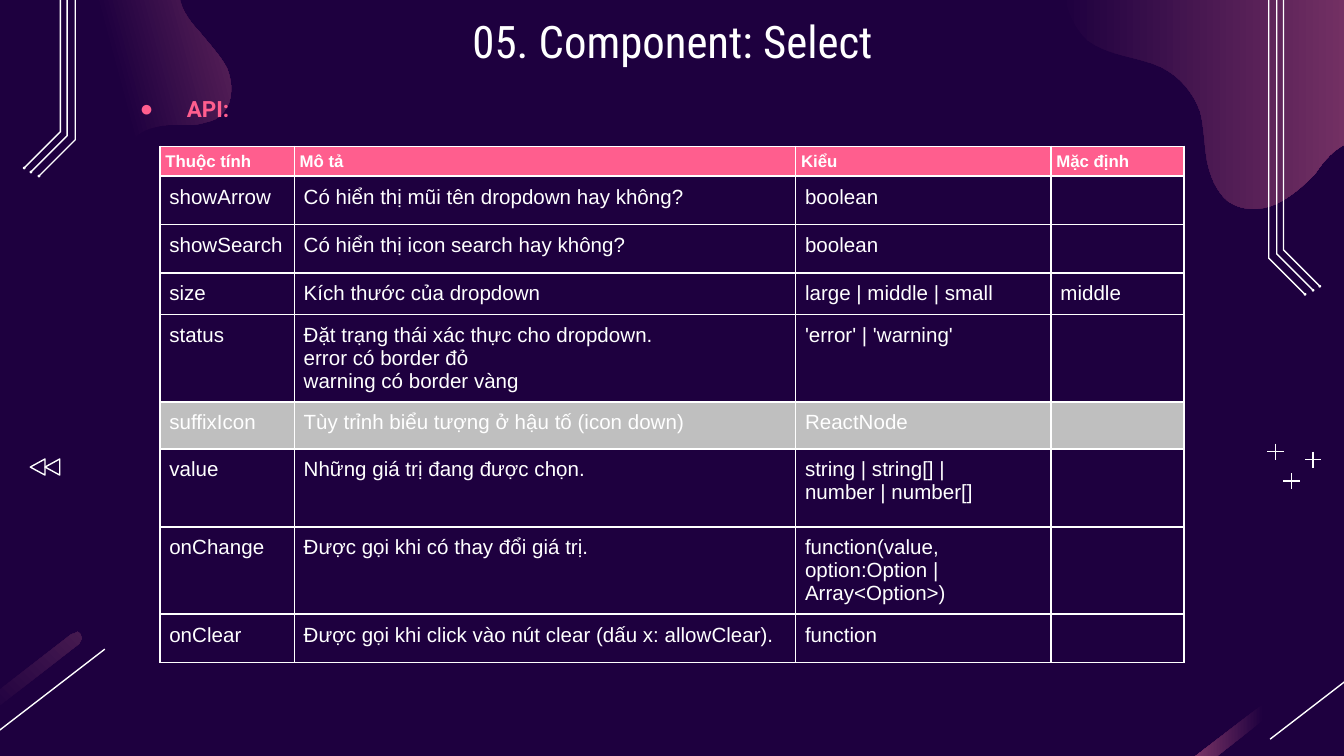
from lxml import etree
from pptx import Presentation
from pptx.dml.color import RGBColor
from pptx.enum.shapes import MSO_CONNECTOR, MSO_SHAPE
from pptx.enum.text import MSO_ANCHOR, MSO_AUTO_SIZE, PP_ALIGN
from pptx.oxml.ns import qn
from pptx.util import Inches, Pt

NIGHT = RGBColor(0x1E, 0x00, 0x3F)
DUSK = RGBColor(0x46, 0x1A, 0x50)
PLUM = RGBColor(0xA6, 0x4D, 0x79)
PINK = RGBColor(0xFF, 0x5E, 0x8E)
GREY = RGBColor(0xBF, 0xBF, 0xBF)
WHITE = RGBColor(0xFF, 0xFF, 0xFF)
THIN = Pt(0.75)
DOT = 0.02

# Each curve list is a start point followed by Bezier triples.
LEFT_BLOB = [
    (0.48, 1.9), (0.74, 1.83), (0.86, 1.69), (0.9, 1.65), (0.98, 1.56), (1.01, 1.43), (0.99, 1.31),
    (0.98, 1.24), (0.95, 1.17), (0.97, 1.11), (0.98, 1.02), (1.06, 0.97), (1.14, 0.95),
    (1.24, 0.92), (1.33, 0.93), (1.42, 0.93), (1.46, 0.93), (1.5, 0.92), (1.53, 0.91),
    (1.58, 0.9), (1.63, 0.88), (1.66, 0.84), (1.74, 0.75), (1.73, 0.61), (1.69, 0.51),
    (1.64, 0.41), (1.55, 0.32), (1.48, 0.23), (1.4, 0.15), (1.33, 0.04), (1.33, -0.07)]
LEFT_BLOB_REST = [
    (1.43, -0.31), (1.9, -0.41), (2.28, -0.43), (2.58, -0.87), (2.33, -1.34), (1.67, -1.51),
    (0.7, -0.95), (-0.91, -0.74), (-1.74, -0.3), (-1.94, 0.22), (-1.56, 0.8), (-0.46, 1.06),
    (-0.13, 1.33), (-0.03, 1.66), (0.2, 1.87)]
RIGHT_BLOB = [
    (7.89, -0.38), (7.89, -0.31), (7.89, -0.24), (7.9, -0.18), (7.91, 0), (7.96, 0.18), (8.09, 0.3),
    (8.25, 0.42), (8.47, 0.42), (8.64, 0.5), (8.78, 0.57), (8.88, 0.69), (8.93, 0.83),
    (8.96, 0.94), (8.96, 1.07), (8.98, 1.19), (9, 1.3), (9.05, 1.43), (9.14, 1.5),
    (9.24, 1.57), (9.38, 1.57), (9.49, 1.52), (9.6, 1.47), (9.69, 1.39), (9.78, 1.3),
    (9.83, 1.23), (9.88, 1.16), (9.95, 1.11), (10.02, 1.06), (10.1, 1.03), (10.18, 1.06),
    (10.33, 1.1), (10.38, 1.3), (10.52, 1.38), (10.85, 1.57), (11.08, 1.12), (11.17, 0.88)]
RIGHT_BLOB_REST = [
    (11.25, 0.38), (11.05, -0.35), (10.58, -0.77), (9.89, -0.84), (9.29, -1.13), (8.97, -1.41),
    (8.52, -1.43), (8.19, -1.29), (7.93, -0.78)]
STREAK = [(0.56, 0.01), (0.58, 0), (0.6, 0.02), (0.61, 0.05), (0.59, 0.09), (-0.81, 1.18),
          (-0.85, 1.19), (-0.88, 1.17), (-0.89, 1.14), (-0.87, 1.1), (0.53, 0.02)]

HEADERS = ["Thuộc tính", "Mô tả", "Kiểu", "Mặc định"]
COLUMN_WIDTHS = [1, 3.73, 1.9, 0.99]
HEADER_HEIGHT = 0.22
ROWS = [  # height, cells
    (0.36, ["showArrow", "Có hiển thị mũi tên dropdown hay không?", "boolean", ""]),
    (0.36, ["showSearch", "Có hiển thị icon search hay không?", "boolean", ""]),
    (0.31, ["size", "Kích thước của dropdown", "large | middle | small", "middle"]),
    (0.65, ["status", "Đặt trạng thái xác thực cho dropdown.\nerror có border đỏ\n"
            "warning có border vàng", "'error' | 'warning'", ""]),
    (0.35, ["suffixIcon", "Tùy trỉnh biểu tượng ở hậu tố (icon down)", "ReactNode", ""]),
    (0.58, ["value", "Những giá trị đang được chọn.", "string | string[] |\nnumber | number[]", ""]),
    (0.65, ["onChange", "Được gọi khi có thay đổi giá trị.",
            "function(value, option:Option | Array<Option>)", ""]),
    (0.36, ["onClear", "Được gọi khi click vào nút clear (dấu x: allowClear).", "function", ""]),
]
HIGHLIGHTED = "suffixIcon"


def flatten(curve, steps=8):
    """Turn a chain of cubic Bezier curves into points."""
    points = [curve[0]]
    for i in range(0, len(curve) - 1, 3):
        a, b, c, d = curve[i:i + 4]
        for t in (step / steps for step in range(1, steps + 1)):
            u = 1 - t
            points.append(tuple(u**3 * a[k] + 3 * u * u * t * b[k] + 3 * u * t * t * c[k] + t**3 * d[k]
                                for k in (0, 1)))
    return points


def add_outline(slide, points, close):
    points = [(Inches(x), Inches(y)) for x, y in points]
    builder = slide.shapes.build_freeform(*points[0])
    builder.add_line_segments(points[1:], close=close)
    shape = builder.convert_to_shape()
    shape.shadow.inherit = False
    return shape


def add_gradient_outline(slide, points, stops, angle):
    """Angle runs counter-clockwise from left-to-right."""
    shape = add_outline(slide, points, close=True)
    shape.line.fill.background()
    shape.fill.gradient()
    shape.fill.gradient_angle = angle
    stop_list = shape.fill._fill._gradFill.find(qn("a:gsLst"))
    for old_stop in list(stop_list):
        stop_list.remove(old_stop)
    for position, color in stops:
        stop = etree.SubElement(stop_list, qn("a:gs"), pos=str(position * 1000))
        etree.SubElement(stop, qn("a:srgbClr"), val=str(color))


def add_line(slide, x1, y1, x2, y2):
    line = slide.shapes.add_connector(MSO_CONNECTOR.STRAIGHT, *map(Inches, (x1, y1, x2, y2)))
    line.line.color.rgb = WHITE
    line.line.width = THIN
    etree.SubElement(line._element.spPr, qn("a:effectLst"))


def add_circuit(slide, place):
    """Three bent wires, each ending in a dot; place maps their points to the slide."""
    for x, bend in ((9.44, 1.92), (9.5, 1.89), (9.55, 1.86)):
        end_x, end_y = place(x + 0.27, bend + 0.27)
        wire = add_outline(slide, [(place(x, 0)[0], 0), place(x, bend), (end_x, end_y)], close=False)
        wire.fill.background()
        wire.line.color.rgb = WHITE
        wire.line.width = THIN
        dot = slide.shapes.add_shape(MSO_SHAPE.OVAL, Inches(end_x - DOT / 2), Inches(end_y - DOT / 2),
                                     Inches(DOT), Inches(DOT))
        dot.shadow.inherit = False
        dot.fill.solid()
        dot.fill.fore_color.rgb = WHITE
        dot.line.fill.background()


def add_rewind_icon(slide, left, top):
    for offset in (0, 0.11):
        triangle = slide.shapes.add_shape(MSO_SHAPE.ISOSCELES_TRIANGLE, Inches(left + offset),
                                          Inches(top), Inches(0.12), Inches(0.11))
        triangle.rotation = 270
        triangle.shadow.inherit = False
        triangle.fill.background()
        triangle.line.color.rgb = WHITE
        triangle.line.width = THIN


def add_decorations(slide):
    add_gradient_outline(slide, flatten(LEFT_BLOB) + LEFT_BLOB_REST,
                         [(0, NIGHT), (58, NIGHT), (100, PLUM)], 15)
    add_gradient_outline(slide, flatten(RIGHT_BLOB) + RIGHT_BLOB_REST, [(0, NIGHT), (100, PLUM)], 0)
    for left, angle, glow in ((0, 45, DUSK), (9.54, 180, PLUM)):
        add_gradient_outline(slide, [(left + x, 4.7 + y) for x, y in STREAK],
                             [(0, NIGHT), (50, NIGHT), (100, glow)], angle)
        add_line(slide, left + 0.78, 4.83, left - 0.09, 5.5)
    add_circuit(slide, lambda x, y: (x, y))
    add_circuit(slide, lambda x, y: (10 - x, y - 0.88))
    for x, y in ((9.61, 3.58), (9.77, 3.42), (9.49, 3.36)):
        add_line(slide, x - 0.06, y, x + 0.06, y)
        add_line(slide, x, y - 0.06, x, y + 0.06)
    add_rewind_icon(slide, 0.22, 3.42)


def fill_placeholder(placeholder, text, box, font_name, size, color, bold):
    """Place and format the placeholder, in front of the decorations."""
    placeholder.left, placeholder.top, placeholder.width, placeholder.height = map(Inches, box)
    placeholder.element.getparent().append(placeholder.element)
    frame = placeholder.text_frame
    frame.text = text
    frame.word_wrap = True
    frame.auto_size = MSO_AUTO_SIZE.NONE
    frame.vertical_anchor = MSO_ANCHOR.TOP
    frame.margin_left = frame.margin_right = frame.margin_top = frame.margin_bottom = Inches(0.1)
    paragraph = frame.paragraphs[0]
    paragraph.space_before = Pt(0)
    format_runs(paragraph, font_name, size, color, bold)
    return paragraph


def format_runs(paragraph, font_name, size, color, bold):
    for run in paragraph.runs:
        run.font.name, run.font.size, run.font.bold = font_name, Pt(size), bold
        run.font.color.rgb = color


def add_heading(slide):
    label = fill_placeholder(slide.placeholders[1], "API:", (0.79, 0.51, 8.12, 0.44), "Roboto", 12, PINK, True)
    properties = label._p.get_or_add_pPr()
    properties.set("marL", str(Inches(0.5)))
    properties.set("indent", str(Inches(-0.35)))
    bullet_color = etree.SubElement(properties, qn("a:buClr"))
    etree.SubElement(bullet_color, qn("a:srgbClr"), val=str(PINK))
    etree.SubElement(properties, qn("a:buChar"), char="●")
    label.line_spacing = 1.5

    title = fill_placeholder(slide.shapes.title, "05. Component: Select", (0.79, 0, 8.43, 0.63),
                             "Roboto Condensed", 24, WHITE, False)
    title.alignment = PP_ALIGN.CENTER


def format_cell(cell, text, size, margin, bold, fill_color):
    cell.margin_left = cell.margin_right = cell.margin_top = cell.margin_bottom = Inches(margin)
    cell.text_frame.text = text
    for paragraph in cell.text_frame.paragraphs:
        format_runs(paragraph, "Arial", size, WHITE, bold)
        if not text:
            etree.SubElement(paragraph._p, qn("a:endParaRPr"), sz=str(size * 100))
    for side in ("lnL", "lnR", "lnT", "lnB"):
        border = etree.SubElement(cell._tc.get_or_add_tcPr(), qn("a:" + side), w=str(Pt(1)))
        solid = etree.SubElement(border, qn("a:solidFill"))
        etree.SubElement(solid, qn("a:srgbClr"), val=str(WHITE))
    if fill_color is None:
        cell.fill.background()
    else:
        cell.fill.solid()
        cell.fill.fore_color.rgb = fill_color


def add_api_table(slide, left, top):
    heights = [HEADER_HEIGHT] + [height for height, _ in ROWS]
    table = slide.shapes.add_table(len(heights), len(HEADERS), Inches(left), Inches(top),
                                   Inches(sum(COLUMN_WIDTHS)), Inches(sum(heights))).table
    table.horz_banding = False
    for column, width in zip(table.columns, COLUMN_WIDTHS):
        column.width = Inches(width)
    for row, height in zip(table.rows, heights):
        row.height = Inches(height)
    for cell, text in zip(table.rows[0].cells, HEADERS):
        format_cell(cell, text, 9, 0.04, True, PINK)
    for i, (_, texts) in enumerate(ROWS, start=1):
        for cell, text in zip(table.rows[i].cells, texts):
            format_cell(cell, text, 11, 0.07, False, GREY if texts[0] == HIGHLIGHTED else None)


def main():
    presentation = Presentation()
    presentation.slide_width = Inches(10)
    presentation.slide_height = presentation.slide_width * 9 // 16
    slide = presentation.slides.add_slide(presentation.slide_layouts[1])
    slide.background.fill.solid()
    slide.background.fill.fore_color.rgb = NIGHT
    add_decorations(slide)
    add_heading(slide)
    add_api_table(slide, 1.19, 1.09)
    presentation.save("out.pptx")


if __name__ == "__main__":
    main()
